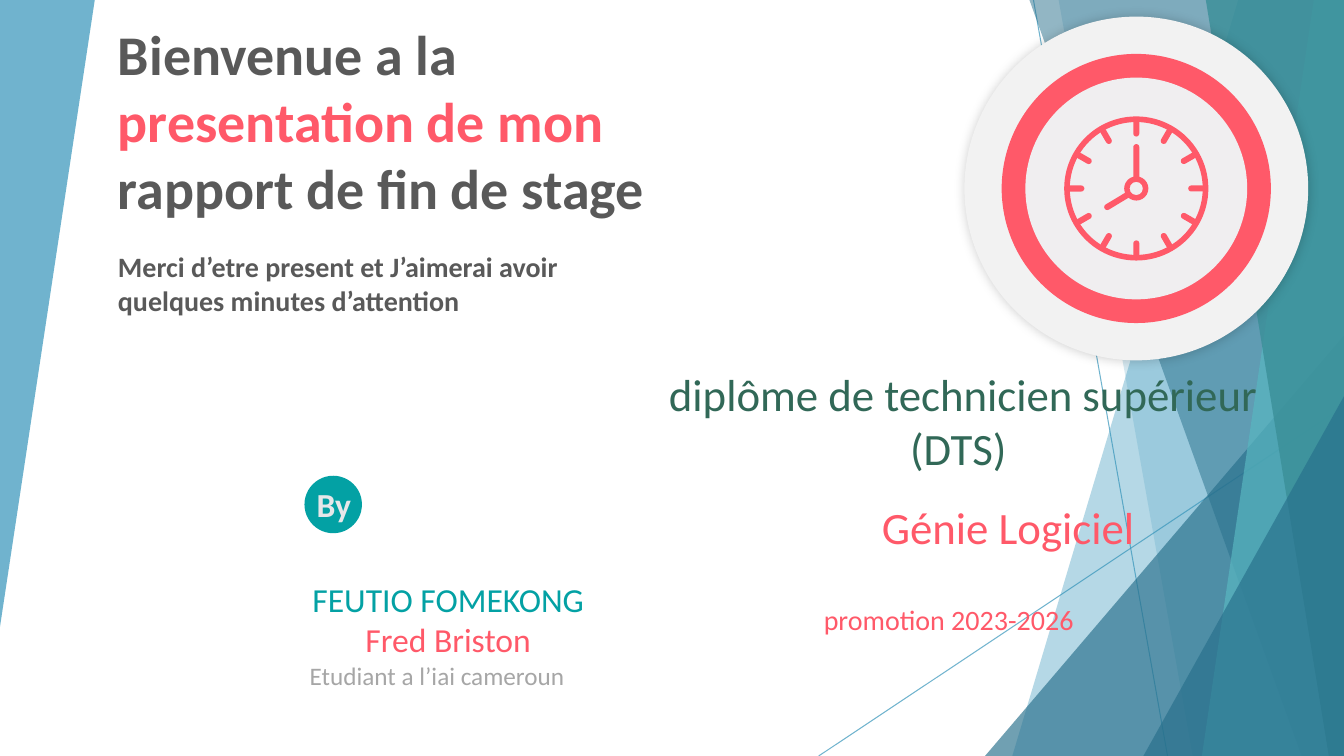
import pptx
import pptx.util
import pptx.dml.color
import pptx.enum.shapes
import pptx.enum.text
import pptx.oxml
import pptx.oxml.ns

Inches = pptx.util.Inches
SHAPE = pptx.enum.shapes.MSO_SHAPE
ALIGN = pptx.enum.text.PP_ALIGN
W, H = 13.33, 7.5

CORAL, TEAL, GREY = "FF5969", "03A1A4", "595959"
BLUE, DEEP_BLUE, AQUA, DEEP_AQUA = "3494BA", "276F8B", "58B6C0", "3A8F98"


def paint(color_format, hex_color):
    color_format.rgb = pptx.dml.color.RGBColor.from_string(hex_color)


def set_alpha(element, percent):
    for clr in element.iter(pptx.oxml.ns.qn("a:srgbClr")):
        alpha = clr.makeelement(pptx.oxml.ns.qn("a:alpha"), {"val": str(percent * 1000)})
        clr.append(alpha)


def style(sp, fill, alpha=100):
    sp.shadow.inherit = False
    sp.line.fill.background()
    sp.fill.solid()
    paint(sp.fill.fore_color, fill)
    if alpha < 100:
        set_alpha(sp._element.spPr, alpha)
    return sp


def add_shape(s, kind, box, fill, alpha=100, adj=(), rotation=0):
    sp = s.shapes.add_shape(kind, *map(Inches, box))
    for i, value in enumerate(adj):
        sp.adjustments[i] = value
    sp.rotation = rotation
    return style(sp, fill, alpha)


def add_facet(s, points, fill, alpha):
    corners = [(Inches(x), Inches(y)) for x, y in points]
    builder = s.shapes.build_freeform(*corners[0])
    builder.add_line_segments(corners[1:], close=True)
    style(builder.convert_to_shape(), fill, alpha)


def add_line(s, x1, y1, x2, y2):
    line = s.shapes.add_connector(pptx.enum.shapes.MSO_CONNECTOR.STRAIGHT,
                                  *map(Inches, (x1, y1, x2, y2)))
    line.line.width = pptx.util.Pt(0.75)
    paint(line.line.color, BLUE)
    spPr = line._element.spPr
    set_alpha(spPr, 70)
    spPr.append(spPr.makeelement(pptx.oxml.ns.qn("a:effectLst"), {}))


def add_soft_shadow(sp):
    effects = sp._element.spPr.find(pptx.oxml.ns.qn("a:effectLst"))
    effects.append(pptx.oxml.parse_xml(
        f'<a:outerShdw {pptx.oxml.ns.nsdecls("a")} blurRad="{pptx.util.Pt(8)}" dist="0" '
        'algn="ctr" rotWithShape="0"><a:srgbClr val="000000"><a:alpha val="20000"/>'
        '</a:srgbClr></a:outerShdw>'))


def write(sp, box, paragraphs, size, bold=False, align=ALIGN.CENTER):
    """Each paragraph is a list of (text, colour) runs."""
    sp.left, sp.top, sp.width, sp.height = map(Inches, box)
    tf = sp.text_frame
    tf.word_wrap = True
    tf.auto_size = pptx.enum.text.MSO_AUTO_SIZE.NONE
    tf.vertical_anchor = pptx.enum.text.MSO_ANCHOR.TOP
    for i, runs in enumerate(paragraphs):
        p = tf.add_paragraph() if i else tf.paragraphs[0]
        p.alignment = align
        p.line_spacing = 1.0
        p.space_before = pptx.util.Pt(0)
        for text, color in runs:
            r = p.add_run()
            r.text = text
            r.font.name = "Calibri"
            r.font.size = pptx.util.Pt(size)
            r.font.bold = bold
            paint(r.font.color, color)


def add_text(s, box, paragraphs, size, bold=False):
    write(s.shapes.add_textbox(*map(Inches, box)), box, paragraphs, size, bold)


def add_background(s):
    add_facet(s, [(0, 0), (0.94, 0), (0, 6.22)], BLUE, 70)
    add_line(s, 10.25, 0, 11.58, H)
    add_line(s, W, 4.03, 8.12, H)

    # Facets run from the right edge to a slanted left side (top x, bottom x)
    def right_facet(top_x, bottom_x, fill, alpha):
        add_facet(s, [(top_x, 0), (W, 0), (W, H), (bottom_x, H)], fill, alpha)

    def corner_triangle(left, top):
        add_shape(s, SHAPE.ISOSCELES_TRIANGLE, (left, top, W - left, H - top),
                  DEEP_BLUE, 66, adj=[1])

    right_facet(12.28, 10.04, BLUE, 36)
    right_facet(10.5, 11.83, BLUE, 20)
    corner_triangle(9.77, 3.33)
    right_facet(10.21, 12.91, DEEP_BLUE, 50)
    right_facet(13.03, 11.92, AQUA, 70)
    right_facet(11.96, 13.18, DEEP_AQUA, 80)
    corner_triangle(11.34, 3.93)


def add_clock(s):
    cx, cy = 11.27, 1.87

    def centred(kind, size, fill, adj=()):
        return add_shape(s, kind, (cx - size / 2, cy - size / 2, size, size), fill, adj=adj)

    # Badge discs
    add_soft_shadow(centred(SHAPE.OVAL, 3.41, "F2F2F2"))
    centred(SHAPE.OVAL, 2.67, CORAL)
    centred(SHAPE.OVAL, 2.2, "F0EEF0")

    # Hour ticks: opposite pairs share an angle, so all twelve follow one rule
    tick_w, tick_h, radius = 0.06, 0.17, 0.6
    for hour in range(12):
        angle = math.radians(hour * 30)
        x, y = cx + radius * math.sin(angle), cy - radius * math.cos(angle)
        add_shape(s, SHAPE.ROUNDED_RECTANGLE, (x - tick_w / 2, y - tick_h / 2, tick_w, tick_h),
                  CORAL, adj=[0.5], rotation=hour * 30)

    # Rim, hub and hands
    centred(SHAPE.DONUT, 1.43, CORAL, [0.039])
    centred(SHAPE.DONUT, 0.24, CORAL, [0.226])
    for box, rotation in (((11.05, 1.85, 0.06, 0.29), 239), ((11.24, 1.43, 0.06, 0.34), 0)):
        add_shape(s, SHAPE.ROUND_2_SAME_RECTANGLE, box, CORAL, adj=[0.5, 0], rotation=rotation)


def main():
    prs = pptx.Presentation()
    prs.slide_width, prs.slide_height = Inches(W), Inches(H)
    s = prs.slides.add_slide(prs.slide_layouts[0])
    add_background(s)

    # Welcome title and subtitle
    write(s.shapes.title, (1.07, 0.14, 6.36, 2.12),
          [[("Bienvenue a la ", GREY), ("presentation de mon", CORAL),
            (" rapport de fin de stage", GREY)]], 40, True, ALIGN.LEFT)
    write(s.placeholders[1], (1.07, 2.43, 4.82, 0.77),
          [[("Merci d’etre present et J’aimerai avoir quelques minutes d’attention", GREY)]],
          20, True, ALIGN.LEFT)

    # Author
    add_shape(s, SHAPE.OVAL, (3.02, 4.72, 0.57, 0.57), TEAL)
    add_text(s, (2.95, 4.75, 0.72, 0.5), [[("By", "E6E7E9")]], 24, True)
    add_text(s, (2.89, 5.69, 3.11, 0.91),
             [[("FEUTIO FOMEKONG", TEAL)], [("Fred Briston", CORAL)]], 24)
    add_text(s, (2.67, 6.5, 3.33, 0.4), [[("Etudiant a l’iai cameroun", "A6A6A6")]], 18)

    add_clock(s)

    # Diploma
    add_text(s, (6.14, 3.59, 6.83, 1.18),
             [[("diplôme de technicien supérieur (DTS) ", "316857")]], 32)
    add_text(s, (7.86, 4.91, 4.28, 0.64), [[("Génie Logiciel", CORAL)]], 32)
    add_text(s, (7.49, 5.93, 3.84, 0.44), [[("promotion 2023-2026", CORAL)]], 20)

    prs.save("out.pptx")


import math

if __name__ == "__main__":
    main()
